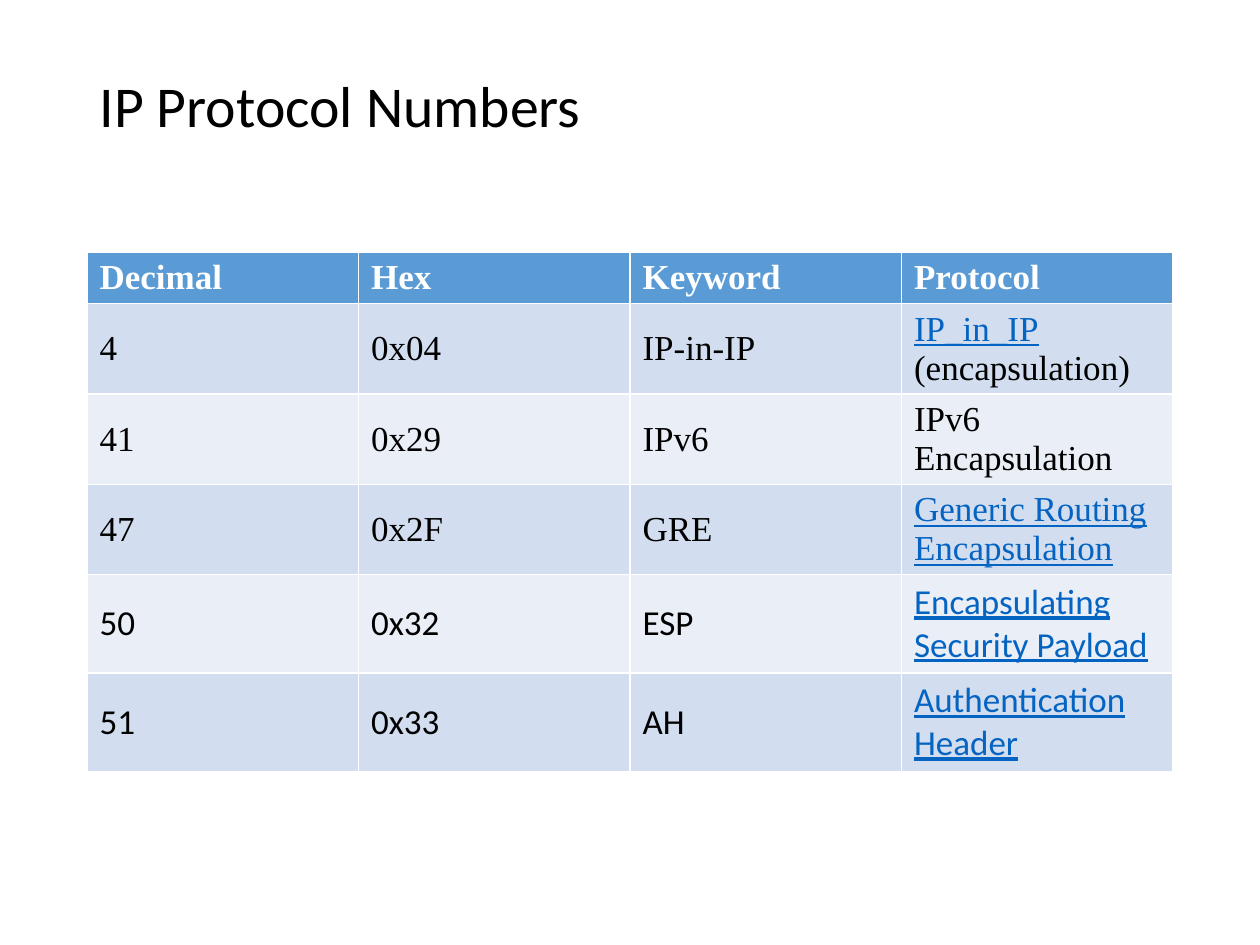
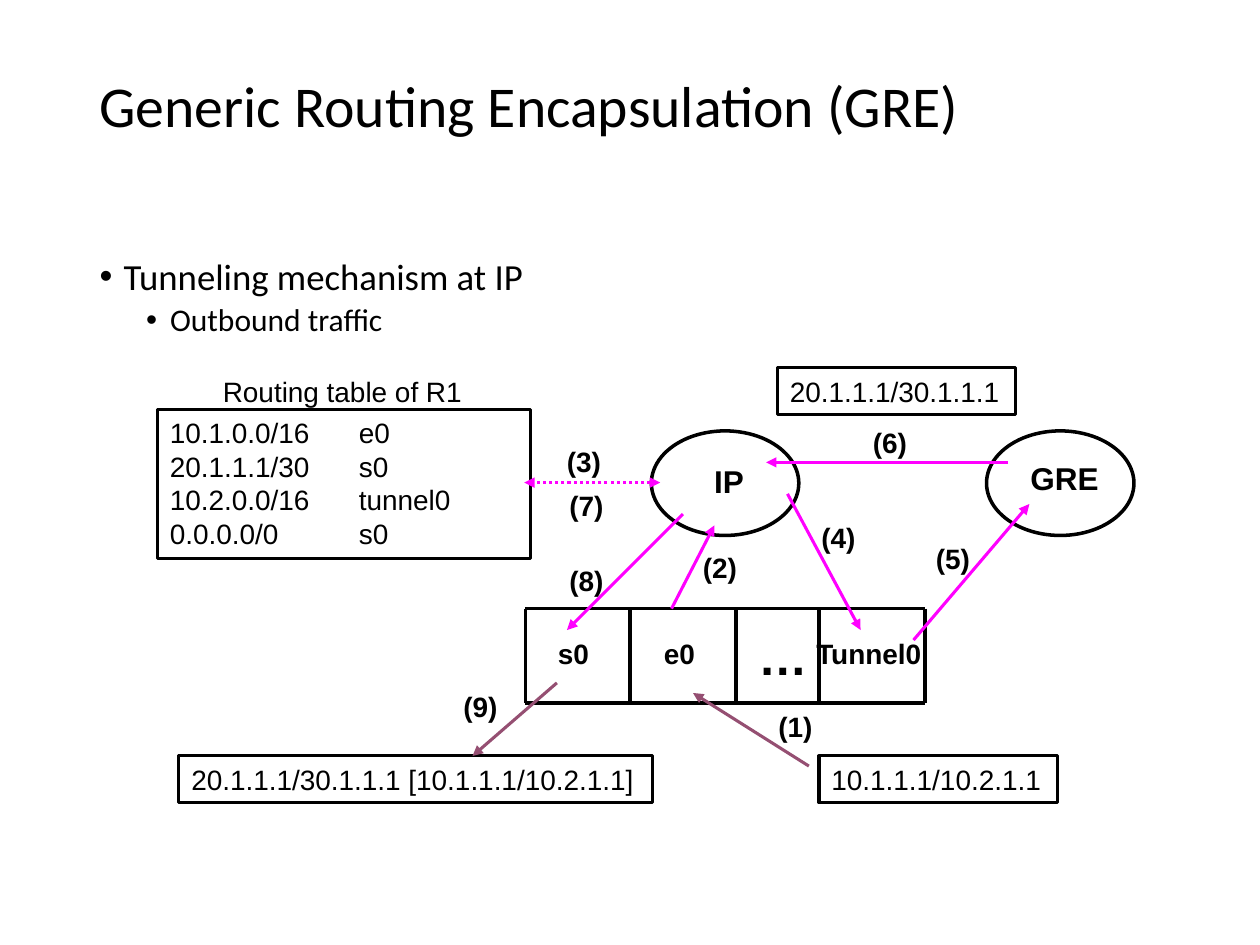
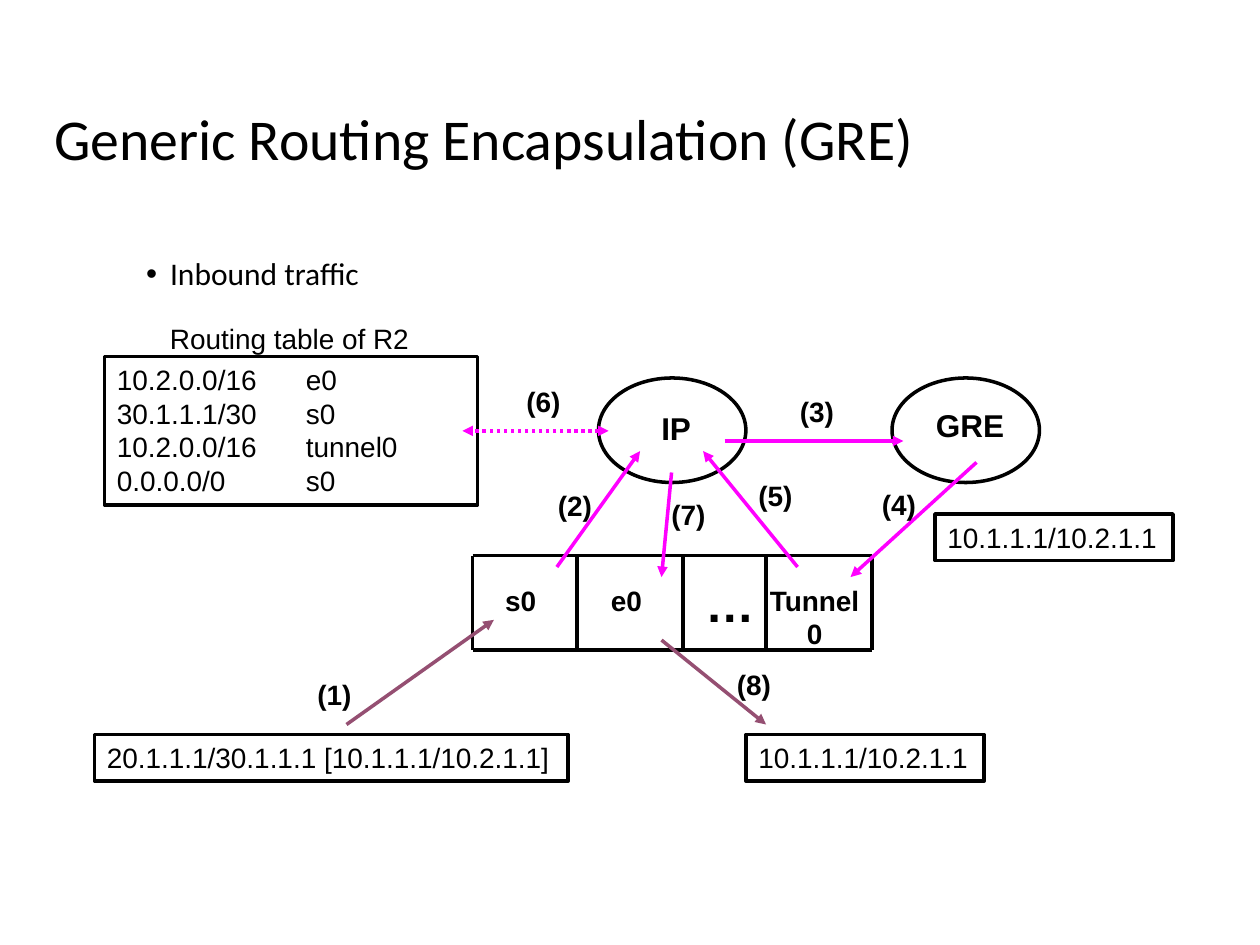
from pptx import Presentation
from pptx.dml.color import RGBColor
from pptx.enum.dml import MSO_LINE as Dash
from pptx.enum.shapes import MSO_CONNECTOR as Conn, MSO_SHAPE as Kind
from pptx.enum.text import MSO_ANCHOR as Anchor, MSO_AUTO_SIZE as Fit, PP_ALIGN as Align
from pptx.oxml.ns import qn
from pptx.util import Inches, Pt
from lxml.etree import SubElement

COLORS = {
    "ink": "000000", "paper": "FFFFFF", "link": "0563C1", "head": "5B9BD5",
    "odd": "D2DEEF", "even": "EAEFF7", "inner": "FF00FF", "outer": "954F72",
}
SANS, SERIF, ARIAL = "Calibri", "Times New Roman", "Arial"


def color(name):
    return RGBColor.from_string(COLORS[name])


def place(shape, box):
    shape.left, shape.top, shape.width, shape.height = map(Inches, box)


class Deck:
    def __init__(self):
        self.prs = Presentation()
        self.prs.slide_width, self.prs.slide_height = Inches(10), Inches(7.5)
        self.slide = None
        self.weight = 2

    def run(self, para, text, size, font=ARIAL, ink="ink", bold=False, line=False):
        run = para.add_run()
        run.text = text
        run.font.size, run.font.name = Pt(size), font
        run.font.bold, run.font.underline = bold, line
        run.font.color.rgb = color(ink)

    def page(self, title, layout, box=(0.69, 0.4, 8.62, 0.93)):
        self.slide = self.prs.slides.add_slide(self.prs.slide_layouts[layout])
        shape = self.slide.shapes.title
        place(shape, box)
        frame = shape.text_frame
        frame.auto_size, frame.vertical_anchor = Fit.NONE, Anchor.MIDDLE
        para = frame.paragraphs[0]
        para.alignment, para.line_spacing = Align.LEFT, 0.9
        self.run(para, title, 33, SANS)

    def bullets(self, items):
        """Fill the body with (level, text) items."""
        body = self.slide.placeholders[1]
        place(body, (0.69, 1.58, 8.62, 5.17))
        frame = body.text_frame
        frame.auto_size, frame.margin_top = Fit.NONE, Inches(0.47)
        for i, (level, text) in enumerate(items):
            para = frame.add_paragraph() if i else frame.paragraphs[0]
            para.level, para.line_spacing = level, 0.9
            para.space_before = Pt(3.8 if i else 0)
            props = para._p.get_or_add_pPr()
            props.set("marL", str(Inches(0.56 if level else 0.19)))
            props.set("indent", str(Inches(-0.19)))
            SubElement(props, qn("a:buFont"), typeface=ARIAL)
            SubElement(props, qn("a:buChar"), char="•")
            self.run(para, text, 18 if level else 21, SANS)

    def table(self, box, heights, rows):
        """Draw rows of cells; a cell is a list of (text, is_link) runs."""
        grid = self.slide.shapes.add_table(len(rows), len(rows[0]), *map(Inches, box)).table
        for r, row in enumerate(rows):
            grid.rows[r].height = Inches(heights[r])
            fill = "head" if r == 0 else "odd" if r % 2 else "even"
            font = SERIF if r < 4 else SANS
            for c, parts in enumerate(row):
                cell = grid.cell(r, c)
                cell.fill.solid()
                cell.fill.fore_color.rgb = color(fill)
                cell.vertical_anchor = Anchor.MIDDLE
                for text, link in parts:
                    ink = "paper" if r == 0 else "link" if link else "ink"
                    self.run(cell.text_frame.paragraphs[0], text, 20, font, ink, r == 0, link)

    def lines(self, frame, texts, size, bold, align=Align.LEFT, wrap=False):
        frame.word_wrap, frame.auto_size = wrap, Fit.SHAPE_TO_FIT_TEXT
        frame.vertical_anchor = Anchor.TOP
        for i, text in enumerate(texts):
            para = frame.add_paragraph() if i else frame.paragraphs[0]
            para.alignment = align
            self.run(para, text, size, bold=bold)

    def label(self, text, x, y, w=0.47, h=0.37, size=16, bold=True, align=Align.LEFT, wrap=False):
        box = self.slide.shapes.add_textbox(*map(Inches, (x, y, w, h)))
        self.lines(box.text_frame, text.split("\n"), size, bold, align, wrap)

    def shape(self, kind, box, weight):
        shape = self.slide.shapes.add_shape(kind, *map(Inches, box))
        shape.shadow.inherit = False
        shape.fill.background()
        shape.line.color.rgb = color("ink")
        shape.line.width = Pt(weight)
        return shape

    def box(self, texts, x, y, w=1.89, h=0.37):
        shape = self.shape(Kind.RECTANGLE, (x, y, w, h), self.weight)
        self.lines(shape.text_frame, texts, 16, False)

    def node(self, text, x, y, dx, dy, w):
        """Draw an ellipse with its name set in by dx, dy."""
        self.shape(Kind.OVAL, (x, y, 1.17, 0.83), 2)
        self.label(text, x + dx, y + dy, w, 0.4, 18)

    def line(self, start, end, ink="ink", weight=2, ends=(), dots=False):
        link = self.slide.shapes.add_connector(Conn.STRAIGHT, *map(Inches, start + end))
        link.line.color.rgb = color(ink)
        link.line.width = Pt(weight)
        if dots:
            link.line.dash_style = Dash.ROUND_DOT
        for name in ends:
            SubElement(link.line._get_or_add_ln(), qn(f"a:{name}"), type="triangle")
        SubElement(link._element.spPr, qn("a:effectLst"))

    def arrow(self, start, end, ink="inner"):
        self.line(start, end, ink, self.weight, ("tailEnd",))

    def lookup(self, start, end):
        self.line(start, end, "inner", self.weight, ("headEnd", "tailEnd"), True)

    def steps(self, spots):
        for i, (x, y) in enumerate(spots, 1):
            self.label(f"({i})", x, y)

    def router(self, x, y, name, routes, gre):
        """Draw the routing table, the IP and GRE nodes and the row of ports."""
        self.label(f"Routing table of {name}", x + 0.42, y, 2.12, bold=False)
        self.box(routes, x, y + 0.33, 2.96, 1.18)
        self.node("IP", x + 3.92, y + 0.5, 0.4, 0.2, 0.44)
        self.node("GRE", gre, y + 0.5, 0.25, 0.17, 0.74)
        left, top = x + 2.92, y + 1.91
        right, foot = left + 3.17, top + 0.75
        for edge in (top, foot):
            self.line((left, edge), (right, edge))
        for step in (0, 0.83, 1.67, 2.33, 3.17):
            self.line((left + step, top), (left + step, foot))
        for port, step in (("s0", 0.16), ("e0", 1)):
            self.label(port, left + step, top + 0.17, 0.45)
        self.label("…", left + 1.75, top + 0.09, 0.59, 0.57, 28)


def protocols(deck):
    deck.page("IP Protocol Numbers", 5)
    data = [
        ("Decimal", "Hex", "Keyword", [("Protocol", False)]),
        ("4", "0x04", "IP-in-IP", [("IP_in_IP", True), (" (encapsulation)", False)]),
        ("41", "0x29", "IPv6", [("IPv6 Encapsulation", False)]),
        ("47", "0x2F", "GRE", [("Generic Routing Encapsulation", True)]),
        ("50", "0x32", "ESP", [("Encapsulating Security Payload", True)]),
        ("51", "0x33", "AH", [("Authentication Header", True)]),
    ]
    rows = [[[(text, False)] for text in row[:3]] + [row[3]] for row in data]
    heights = [0.41] + [0.71] * 3 + [0.78] * 2
    deck.table((0.69, 2, 8.62, sum(heights)), heights, rows)


def outbound(deck):
    deck.page("Generic Routing Encapsulation (GRE)", 1)
    deck.bullets([(0, "Tunneling mechanism at IP"), (1, "Outbound traffic")])
    deck.weight = 1.75
    routes = ["10.1.0.0/16\te0", "20.1.1.1/30\ts0", "10.2.0.0/16\ttunnel0", "0.0.0.0/0\t\ts0"]
    deck.router(1.25, 2.92, "R1", routes, 7.83)
    deck.label("Tunnel0", 6.29, 5, 1.21, align=Align.CENTER, wrap=True)
    deck.box(["10.1.1.1/10.2.1.1"], 6.5, 6)
    deck.box(["20.1.1.1/30.1.1.1"], 6.17, 2.92)
    deck.box(["20.1.1.1/30.1.1.1 [10.1.1.1/10.2.1.1]"], 1.42, 6, 3.76)
    deck.arrow((6.42, 6.08), (5.5, 5.5), "outer")
    deck.arrow((5.33, 4.83), (5.67, 4.17))
    deck.lookup((5.24, 3.83), (4.16, 3.83))
    deck.arrow((6.25, 3.92), (6.83, 5))
    deck.arrow((7.25, 5.08), (8.17, 4))
    deck.arrow((8, 3.67), (6.08, 3.67))
    deck.arrow((5.42, 4.08), (4.5, 5))
    deck.arrow((4.42, 5.42), (3.75, 6), "outer")
    deck.steps([(6.08, 5.58), (5.48, 4.32), (4.4, 3.48), (6.42, 4.08), (7.33, 4.25),
                (6.83, 3.33), (4.42, 3.83), (4.42, 4.42), (3.58, 5.42)])


def inbound(deck):
    deck.page("Generic Routing Encapsulation (GRE)", 1, (0.33, 0.4, 8.62, 1.45))
    deck.bullets([(1, "Inbound traffic")])
    deck.weight = 2
    routes = ["10.2.0.0/16\te0", "30.1.1.1/30\ts0", "10.2.0.0/16\ttunnel0", "0.0.0.0/0\t\ts0"]
    deck.router(0.83, 2.5, "R2", routes, 7.08)
    deck.label("Tunnel\n0", 6, 4.58, 0.93, 0.64, align=Align.CENTER)
    deck.box(["20.1.1.1/30.1.1.1 [10.1.1.1/10.2.1.1]"], 0.75, 5.83, 3.76)
    deck.box(["10.1.1.1/10.2.1.1"], 7.42, 4.08)
    deck.box(["10.1.1.1/10.2.1.1"], 5.92, 5.83)
    deck.arrow((2.75, 5.75), (3.92, 4.92), "outer")
    deck.arrow((4.42, 4.5), (5.08, 3.58))
    deck.arrow((5.75, 3.5), (7.17, 3.5))
    deck.arrow((7.75, 3.67), (6.75, 4.58))
    deck.arrow((6.33, 4.5), (5.58, 3.58))
    deck.lookup((4.83, 3.42), (3.67, 3.42))
    deck.arrow((5.33, 3.75), (5.25, 4.58))
    deck.arrow((5.25, 5.08), (6.08, 5.75), "outer")
    deck.steps([(2.42, 5.33), (4.33, 3.83), (6.25, 3.08), (6.9, 3.82), (5.92, 3.75),
                (4.08, 3), (5.23, 3.9), (5.75, 5.25)])


def main():
    deck = Deck()
    protocols(deck)
    outbound(deck)
    inbound(deck)
    deck.prs.save("out.pptx")


if __name__ == "__main__":
    main()
